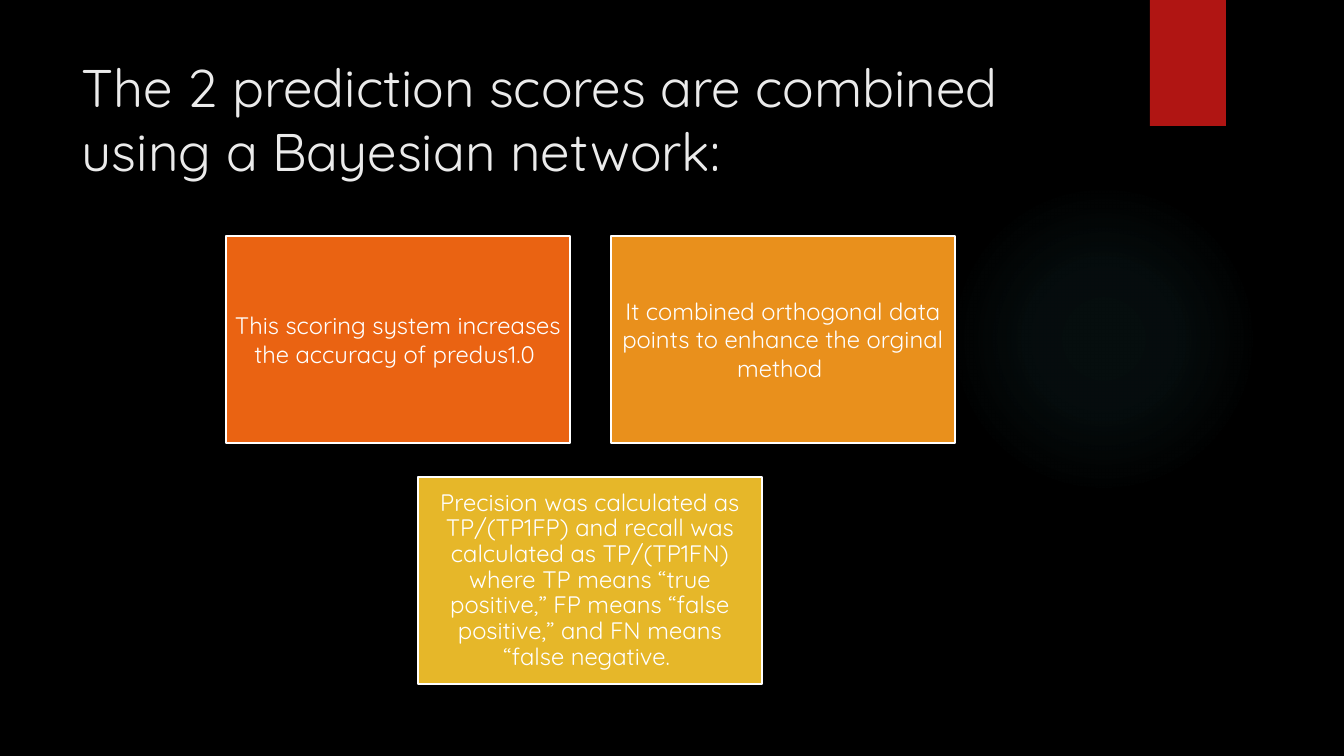
import pptx
import pptx.util
import pptx.oxml
import pptx.oxml.ns
import pptx.dml.color
import pptx.enum.shapes
import pptx.enum.text

RGBColor = pptx.dml.color.RGBColor
BLACK = RGBColor(0x00, 0x00, 0x00)
WHITE = RGBColor(0xFF, 0xFF, 0xFF)
TITLE_GREY = RGBColor(0xEB, 0xEB, 0xEB)
RED = RGBColor(0xB0, 0x15, 0x13)
ORANGE = RGBColor(0xEA, 0x63, 0x12)
AMBER = RGBColor(0xE9, 0x90, 0x1C)
YELLOW = RGBColor(0xE6, 0xB7, 0x29)
GLOW = RGBColor(0x50, 0xB9, 0xC1)

RECTANGLE = pptx.enum.shapes.MSO_SHAPE.RECTANGLE
OVAL = pptx.enum.shapes.MSO_SHAPE.OVAL
PIXEL = 12192000 / 1344


def add_block(kind, left, top, width, height, color):
    lengths = [round(value * PIXEL) for value in (left, top, width, height)]
    shape = slide.shapes.add_shape(kind, *lengths)
    shape.shadow.inherit = False
    shape.fill.solid()
    shape.fill.fore_color.rgb = color
    shape.line.fill.background()
    return shape


def add_text(frame, text, size, color):
    frame.word_wrap = True
    paragraph = frame.paragraphs[0]
    run = paragraph.add_run()
    run.text = text
    run.font.name = "Quicksand"
    run.font.size = pptx.util.Pt(size)
    run.font.color.rgb = color
    return paragraph


presentation = pptx.Presentation()
presentation.slide_width = round(1344 * PIXEL)
presentation.slide_height = round(756 * PIXEL)
slide = presentation.slides.add_slide(presentation.slide_layouts[6])
slide.background.fill.solid()
slide.background.fill.fore_color.rgb = BLACK

glow = add_block(OVAL, 949, 184, 310, 310, GLOW)
stops = "".join(
    f'<a:gs pos="{position * 1000}"><a:srgbClr val="{GLOW}">'
    f'<a:alpha val="{opacity * 1000}"/></a:srgbClr></a:gs>'
    for position, opacity in [(0, 7), (36, 6), (69, 0)]
)
gradient = pptx.oxml.parse_xml(
    f'<a:gradFill {pptx.oxml.ns.nsdecls("a")}><a:gsLst>{stops}</a:gsLst>'
    '<a:path path="circle"><a:fillToRect l="50000" t="50000" r="50000" b="50000"/>'
    '</a:path></a:gradFill>'
)
properties = glow.element.spPr
properties.replace(properties.find(pptx.oxml.ns.qn("a:solidFill")), gradient)

add_block(RECTANGLE, 1150, 0, 76, 126, RED)

title_box = [round(value * PIXEL) for value in (72, 50, 1037, 154)]
title = slide.shapes.add_textbox(*title_box)
add_text(
    title.text_frame,
    "The 2 prediction scores are combined using a Bayesian network:",
    37.8,
    TITLE_GREY,
)

CARD_WIDTH, CARD_HEIGHT = 344, 207
CARD_LEFT, CARD_TOP = 226, 236
COLUMN_STEP, ROW_STEP = 385, 241
MARGIN = round(7 * PIXEL)
cards = [
    (0, 0, ORANGE, 1, "This scoring system increases the accuracy of predus1.0 "),
    (1, 0, AMBER, 1, "It combined orthogonal data points to enhance the orginal method "),
    (0.5, 1, YELLOW, 0.9,
     "Precision was calculated as TP/(TP1FP) and recall was calculated as "
     "TP/(TP1FN) where TP means “true positive,” FP means “false positive,” "
     "and FN means “false negative. "),
]
for column, row, color, spacing, text in cards:
    left = round(CARD_LEFT + column * COLUMN_STEP)
    top = CARD_TOP + row * ROW_STEP
    card = add_block(RECTANGLE, left, top, CARD_WIDTH, CARD_HEIGHT, color)
    card.line.color.rgb = WHITE
    card.line.width = pptx.util.Pt(1.5)
    frame = card.text_frame
    frame.margin_left = frame.margin_right = MARGIN
    frame.margin_top = frame.margin_bottom = MARGIN
    frame.vertical_anchor = pptx.enum.text.MSO_ANCHOR.MIDDLE
    paragraph = add_text(frame, text, 17, WHITE)
    paragraph.alignment = pptx.enum.text.PP_ALIGN.CENTER
    paragraph.line_spacing = spacing

presentation.save("out.pptx")
